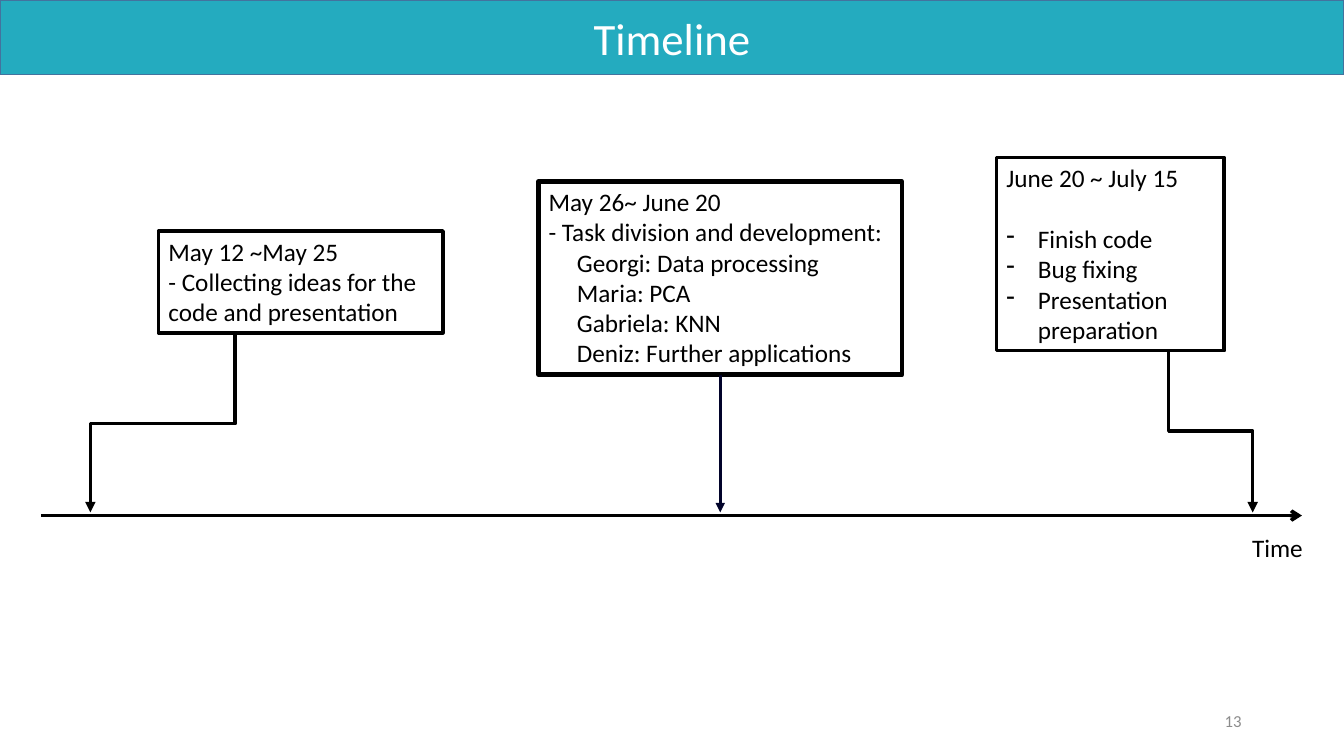
from dataclasses import dataclass

from pptx import Presentation
from pptx import util as u
from pptx.dml.color import RGBColor
from pptx.enum import shapes, text
from pptx.oxml import ns
from pptx.oxml.xmlchemy import OxmlElement

PX = 9525  # EMU in one px, 96 px to the inch
FONT = "Calibri"
BLACK, WHITE, TEAL, STEEL, NAVY, GREY = (
    "000000", "FFFFFF", "24ABBF", "43739E", "01032A", "8C8C8C")
AXIS_Y, ARROW_END_Y = 491, 488
TITLE_ONLY = 5


@dataclass
class Line:
    """One paragraph; margin and hang are in px, space before in points."""
    words: str
    margin: int = 0
    hang: int = 0
    bullet: str = ""
    before: int = 0


@dataclass
class Phase:
    left: int
    top: int
    width: int
    height: int
    border: float
    lines: list[Line]


@dataclass
class Elbow:
    """A route down, sideways and down again to the axis."""
    start_x: int
    start_y: int
    end_x: int


def px(*lengths: float) -> list[u.Emu]:
    return [u.Emu(round(length * PX)) for length in lengths]


def colour(value: str) -> RGBColor:
    return RGBColor.from_string(value)


def set_line(shape, value: str, points: float) -> None:
    shape.line.color.rgb = colour(value)
    shape.line.width = u.Pt(points)


def format_text(frame, size: int, value: str, align=text.PP_ALIGN.LEFT) -> None:
    for para in frame.paragraphs:
        para.alignment = align
        for span in para.runs:
            span.font.name = FONT
            span.font.size = u.Pt(size)
            span.font.color.rgb = colour(value)


def indent(para, line: Line) -> None:
    para.space_before = u.Pt(line.before)
    properties = para._p.get_or_add_pPr()
    properties.set("marL", str(line.margin * PX))
    properties.set("indent", str(-line.hang * PX))
    if line.bullet:
        mark = OxmlElement("a:buChar")
        mark.set("char", line.bullet)
        properties.append(mark)


def add_phase(page, phase: Phase):
    box = page.shapes.add_shape(
        shapes.MSO_SHAPE.RECTANGLE,
        *px(phase.left, phase.top, phase.width, phase.height))
    box.shadow.inherit = False
    box.fill.background()
    set_line(box, BLACK, phase.border)
    frame = box.text_frame
    frame.word_wrap = True
    frame.auto_size = text.MSO_AUTO_SIZE.SHAPE_TO_FIT_TEXT
    frame.vertical_anchor = text.MSO_ANCHOR.TOP
    frame.text = "\n".join(line.words for line in phase.lines)
    for para, line in zip(frame.paragraphs, phase.lines):
        indent(para, line)
    format_text(frame, 18, BLACK)
    return box


def add_arrow(page, kind, start: tuple[float, float], end: tuple[float, float],
              value: str = BLACK, points: float = 2.5, head: str = "triangle"):
    arrow = page.shapes.add_connector(kind, *px(*start, *end))
    set_line(arrow, value, points)
    properties = arrow._element.spPr
    tail = OxmlElement("a:tailEnd")
    tail.set("type", head)
    properties.find(ns.qn("a:ln")).append(tail)
    properties.append(OxmlElement("a:effectLst"))
    return arrow


def add_elbow(page, elbow: Elbow) -> None:
    """Lay the elbow on its side about its centre, then turn it upright."""
    centre_x = (elbow.start_x + elbow.end_x) / 2
    centre_y = (elbow.start_y + ARROW_END_Y) / 2
    drop = (ARROW_END_Y - elbow.start_y) / 2
    shift = abs(elbow.end_x - elbow.start_x) / 2
    goes_right = elbow.end_x > elbow.start_x
    reach = -drop if goes_right else drop
    arrow = add_arrow(page, shapes.MSO_CONNECTOR.ELBOW,
                      (centre_x - reach, centre_y - shift),
                      (centre_x + reach, centre_y + shift))
    degrees = 270 if goes_right else 90
    arrow._element.spPr.find(ns.qn("a:xfrm")).set("rot", str(degrees * 60000))


def add_label(page, words: str, place: tuple[int, int, int, int], size: int,
              value: str, align, anchor, wrap: bool) -> None:
    box = page.shapes.add_textbox(*px(*place))
    frame = box.text_frame
    frame.word_wrap = wrap
    frame.vertical_anchor = anchor
    frame.text = words
    format_text(frame, size, value, align)


def add_title(page, words: str) -> None:
    title = page.shapes.title
    title.left, title.top, title.width, title.height = px(0, 0, 1280, 71)
    title.fill.solid()
    title.fill.fore_color.rgb = colour(TEAL)
    set_line(title, STEEL, 1)
    title.text_frame.text = words
    title.text_frame.vertical_anchor = text.MSO_ANCHOR.MIDDLE
    format_text(title.text_frame, 32, WHITE, text.PP_ALIGN.CENTER)


IDEAS = Phase(151, 220, 271, 97, 2.5, [
    Line("May 12 ~May 25"),
    Line("- Collecting ideas for the code and presentation")])
DEVELOPMENT = Phase(513, 173, 346, 184, 3.25, [
    Line("May 26~ June 20"),
    Line("- Task division and development:"),
    *(Line(task, margin=27) for task in (
        "Georgi: Data processing", "Maria: PCA",
        "Gabriela: KNN", "Deniz: Further applications"))])
FINISH = Phase(949, 150, 217, 184, 2.5, [
    Line("June 20 ~ July 15"),
    Line("Finish code", 30, 30, "-", before=22),
    Line("Bug fixing", 30, 30, "-"),
    Line("Presentation preparation", 30, 30, "-")])
ELBOWS = [Elbow(224, 319, 86), Elbow(1113, 333, 1193)]


def main() -> None:
    deck = Presentation()
    deck.slide_width, deck.slide_height = px(1280, 720)
    page = deck.slides.add_slide(deck.slide_layouts[TITLE_ONLY])
    add_title(page, "Timeline")

    straight = shapes.MSO_CONNECTOR.STRAIGHT
    add_arrow(page, straight, (39, AXIS_Y), (1240, AXIS_Y), head="arrow")
    add_phase(page, IDEAS)
    add_phase(page, FINISH)
    for elbow in ELBOWS:
        add_elbow(page, elbow)

    development = add_phase(page, DEVELOPMENT)
    middle = DEVELOPMENT.left + DEVELOPMENT.width // 2
    bottom = DEVELOPMENT.top + DEVELOPMENT.height
    arrow = add_arrow(page, straight, (middle, bottom), (middle, ARROW_END_Y),
                      NAVY, 2.25)
    arrow.begin_connect(development, 2)

    add_label(page, "Time", (1183, 502, 68, 38), 18, BLACK,
              text.PP_ALIGN.LEFT, text.MSO_ANCHOR.TOP, wrap=False)
    add_label(page, "13", (904, 667, 288, 38), 12, GREY,
              text.PP_ALIGN.RIGHT, text.MSO_ANCHOR.MIDDLE, wrap=True)
    deck.save("out.pptx")


if __name__ == "__main__":
    main()
